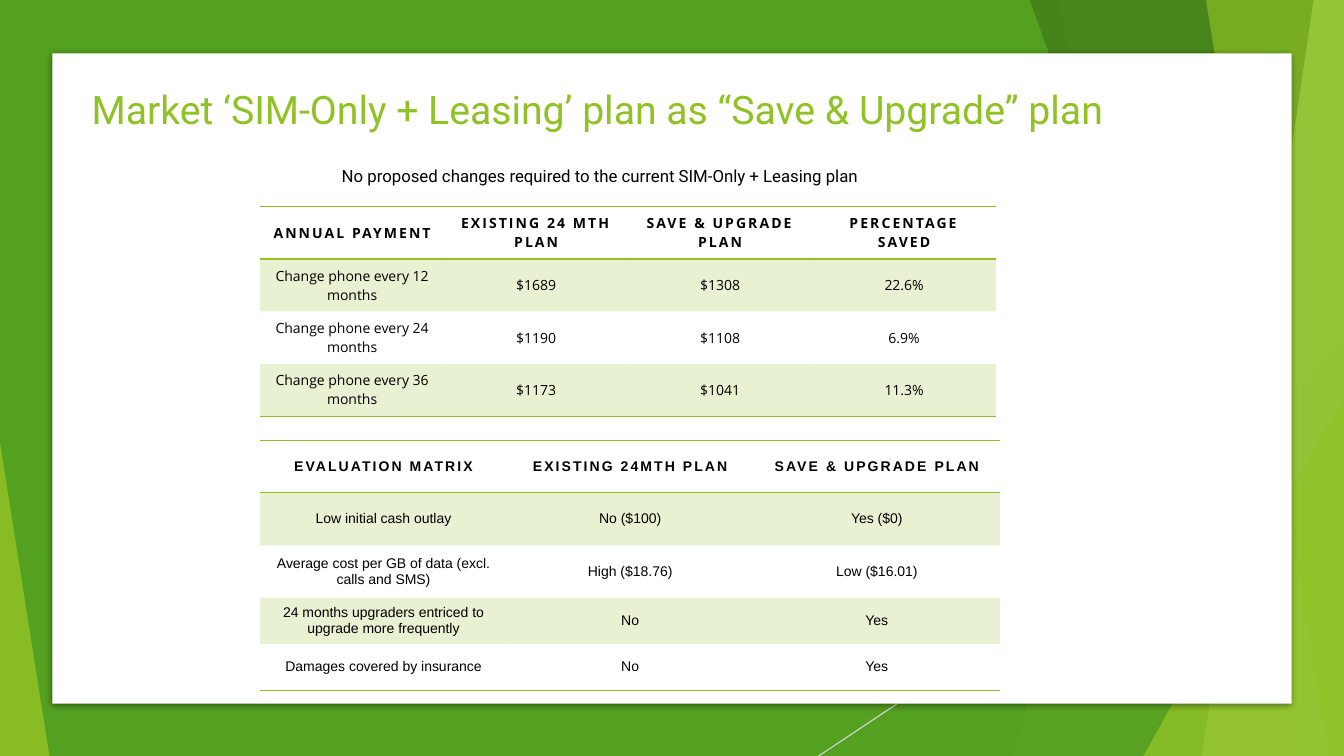
from dataclasses import dataclass

from lxml import etree
from pptx import Presentation
from pptx import util as u
from pptx.dml.color import RGBColor
from pptx.enum import shapes, text
from pptx.oxml import ns

GREEN = RGBColor(0x54, 0xA0, 0x21)
LIME = RGBColor(0x90, 0xC2, 0x26)
FOREST = RGBColor(0x3F, 0x78, 0x19)
PALE_LIME = RGBColor(0xC0, 0xE4, 0x74)
SILVER = RGBColor(0xD9, 0xD9, 0xD9)
BLACK = RGBColor(0, 0, 0)
WHITE = RGBColor(0xFF, 0xFF, 0xFF)

WIDTH, HEIGHT = 13.33, 7.5
NO_GRID_STYLE = "{2D5ABB26-0587-4C30-8999-92F81FD0307C}"


@dataclass
class Facet:
    """A band from a slanted left edge to the right edge of the slide."""
    top_left: float
    bottom_left: float
    color: RGBColor
    opacity: int


@dataclass
class Corner:
    """A triangle standing on the bottom edge; apex is 0 (left) or 1 (right)."""
    left: float
    top: float
    width: float
    apex: int
    color: RGBColor
    opacity: int


@dataclass
class Grid:
    """A table with equal columns, a header row and banded body rows."""
    top: float
    width: float
    font: str
    row_heights: list[float]
    rows: list[list[str]]


DECOR = [
    Facet(12.28, 10.04, LIME, 30),
    Facet(10.5, 11.83, LIME, 20),
    Corner(9.77, 3.33, 3.56, 1, GREEN, 72),
    Facet(10.21, 12.91, FOREST, 70),
    Facet(13.03, 11.92, PALE_LIME, 70),
    Facet(11.96, 13.18, LIME, 65),
    Corner(11.34, 3.93, 1.99, 1, LIME, 80),
    Corner(0, 4.39, 0.49, 0, LIME, 85),
]

GRIDS = [
    Grid(2.05, 7.3, "Open Sans", [0.52] * 4, [
        ["ANNUAL PAYMENT", "EXISTING 24 MTH PLAN", "SAVE & UPGRADE PLAN", "PERCENTAGE SAVED"],
        ["Change phone every 12 months", "$1689", "$1308", "22.6%"],
        ["Change phone every 24 months", "$1190", "$1108", "6.9%"],
        ["Change phone every 36 months", "$1173", "$1041", "11.3%"],
    ]),
    Grid(4.37, 7.34, "Arial", [0.52] * 3 + [0.46] * 2, [
        ["EVALUATION MATRIX", "EXISTING 24MTH PLAN", "SAVE & UPGRADE PLAN"],
        ["Low initial cash outlay", "No ($100)", "Yes ($0)"],
        ["Average cost per GB of data (excl. calls and SMS)", "High ($18.76)", "Low ($16.01)"],
        ["24 months upgraders entriced to upgrade more frequently", "No", "Yes"],
        ["Damages covered by insurance", "No", "Yes"],
    ]),
]


def add_child(parent, tag: str, **attributes):
    """Append a DrawingML element and return it."""
    return etree.SubElement(parent, ns.qn(tag), attributes)


def set_opacity(element, percent: int) -> None:
    """Make the first colour inside an element partly transparent."""
    color = element.find(".//" + ns.qn("a:srgbClr"))
    add_child(color, "a:alpha", val=str(percent * 1000))


def paint(shape, color: RGBColor, opacity: int = 100) -> None:
    """Give a shape a plain fill without outline or shadow."""
    shape.shadow.inherit = False
    shape.fill.solid()
    shape.fill.fore_color.rgb = color
    shape.line.fill.background()
    if opacity < 100:
        set_opacity(shape._element.spPr, opacity)


def write(frame, words: str, *, font: str, size: float, color: RGBColor = BLACK,
          bold: bool = False, spacing: float = 0, align=text.PP_ALIGN.LEFT) -> None:
    """Put one formatted paragraph into a text frame."""
    para = frame.paragraphs[0]
    para.alignment = align
    span = para.add_run()
    span.text = words
    span.font.name = font
    span.font.size = u.Pt(size)
    span.font.bold = bold
    span.font.color.rgb = color
    if spacing:
        span._r.get_or_add_rPr().set("spc", str(int(spacing * 100)))


def draw_decor(page, part: Facet | Corner) -> None:
    """Draw one translucent piece of the backdrop."""
    if isinstance(part, Facet):
        corners = [(u.Inches(x), u.Inches(y)) for x, y in (
            (part.top_left, -0.01), (WIDTH, -0.01), (WIDTH, HEIGHT), (part.bottom_left, HEIGHT))]
        builder = page.shapes.build_freeform(*corners[0])
        builder.add_line_segments(corners[1:], close=True)
        shape = builder.convert_to_shape()
    else:
        shape = page.shapes.add_shape(
            shapes.MSO_SHAPE.ISOSCELES_TRIANGLE, u.Inches(part.left), u.Inches(part.top),
            u.Inches(part.width), u.Inches(HEIGHT - part.top))
        shape.adjustments[0] = part.apex
    paint(shape, part.color, part.opacity)


def draw_backdrop(page) -> None:
    """Draw the green ground, the facets and the white card."""
    page.background.fill.solid()
    page.background.fill.fore_color.rgb = GREEN
    ray = page.shapes.add_connector(
        shapes.MSO_CONNECTOR.STRAIGHT, u.Inches(WIDTH), u.Inches(4.03), u.Inches(8.12), u.Inches(HEIGHT))
    ray.line.color.rgb = SILVER
    ray.line.width = u.Pt(0.75)
    add_child(ray._element.spPr, "a:effectLst")
    for part in DECOR:
        draw_decor(page, part)
    card = page.shapes.add_shape(
        shapes.MSO_SHAPE.RECTANGLE, u.Inches(0.52), u.Inches(0.53), u.Inches(12.29), u.Inches(6.45))
    paint(card, WHITE)
    effects = card._element.spPr.find(ns.qn("a:effectLst"))
    shadow = add_child(effects, "a:outerShdw", blurRad=str(u.Pt(5)), dist=str(u.Pt(1.4)),
                       dir="5400000", algn="ctr", rotWithShape="0")
    add_child(shadow, "a:srgbClr", val=str(BLACK))
    set_opacity(shadow, 43)


def rule_cell(cell, tag: str) -> None:
    """Draw one lime border line on a cell."""
    properties = cell._tc.get_or_add_tcPr()
    line = add_child(properties, tag, w=str(u.Pt(1)))
    add_child(add_child(line, "a:solidFill"), "a:srgbClr", val=str(LIME))
    properties.insert(0, line)


def draw_grid(page, grid: Grid) -> None:
    """Draw one table with rules round its header and under its last row."""
    count = len(grid.rows[0])
    table = page.shapes.add_table(
        len(grid.rows), count, u.Inches(2.58), u.Inches(grid.top),
        u.Inches(grid.width), u.Inches(sum(grid.row_heights))).table
    table._tbl.tblPr.find(ns.qn("a:tableStyleId")).text = NO_GRID_STYLE
    for column in table.columns:
        column.width = u.Inches(grid.width / count)
    for r, (height, words) in enumerate(zip(grid.row_heights, grid.rows)):
        table.rows[r].height = u.Inches(height)
        header = r == 0
        for c, word in enumerate(words):
            cell = table.cell(r, c)
            cell.vertical_anchor = text.MSO_ANCHOR.MIDDLE
            write(cell.text_frame, word, font=grid.font, size=10, bold=header,
                  spacing=1.5 if header else 0, align=text.PP_ALIGN.CENTER)
            if r % 2:
                cell.fill.solid()
                cell.fill.fore_color.rgb = LIME
                set_opacity(cell._tc.tcPr, 20)
            else:
                cell.fill.background()
            if header or r == len(grid.rows) - 1:
                rule_cell(cell, "a:lnB")
            if header:
                rule_cell(cell, "a:lnT")


def place_heading(page) -> None:
    """Move the title in front of the card and format it."""
    title = page.shapes.title
    title.left, title.top = u.Inches(0.81), u.Inches(0.8)
    title.width, title.height = u.Inches(11.05), u.Inches(0.57)
    frame = title.text_frame
    frame.auto_size = text.MSO_AUTO_SIZE.NONE
    frame.vertical_anchor = text.MSO_ANCHOR.TOP
    write(frame, "Market ‘SIM-Only + Leasing’ plan as “Save & Upgrade” plan",
          font="Roboto", size=28, color=LIME)
    page.shapes._spTree.append(title._element)


deck = Presentation()
deck.slide_width, deck.slide_height = u.Inches(WIDTH), u.Inches(HEIGHT)
page = deck.slides.add_slide(deck.slide_layouts[5])
draw_backdrop(page)
for grid in GRIDS:
    draw_grid(page, grid)
box = page.shapes.add_textbox(u.Inches(3.29), u.Inches(1.6), u.Inches(5.91), u.Inches(0.3))
box.text_frame.word_wrap = True
write(box.text_frame, "No proposed changes required to the current SIM-Only + Leasing plan",
      font="Roboto", size=12)
place_heading(page)
deck.save("out.pptx")
